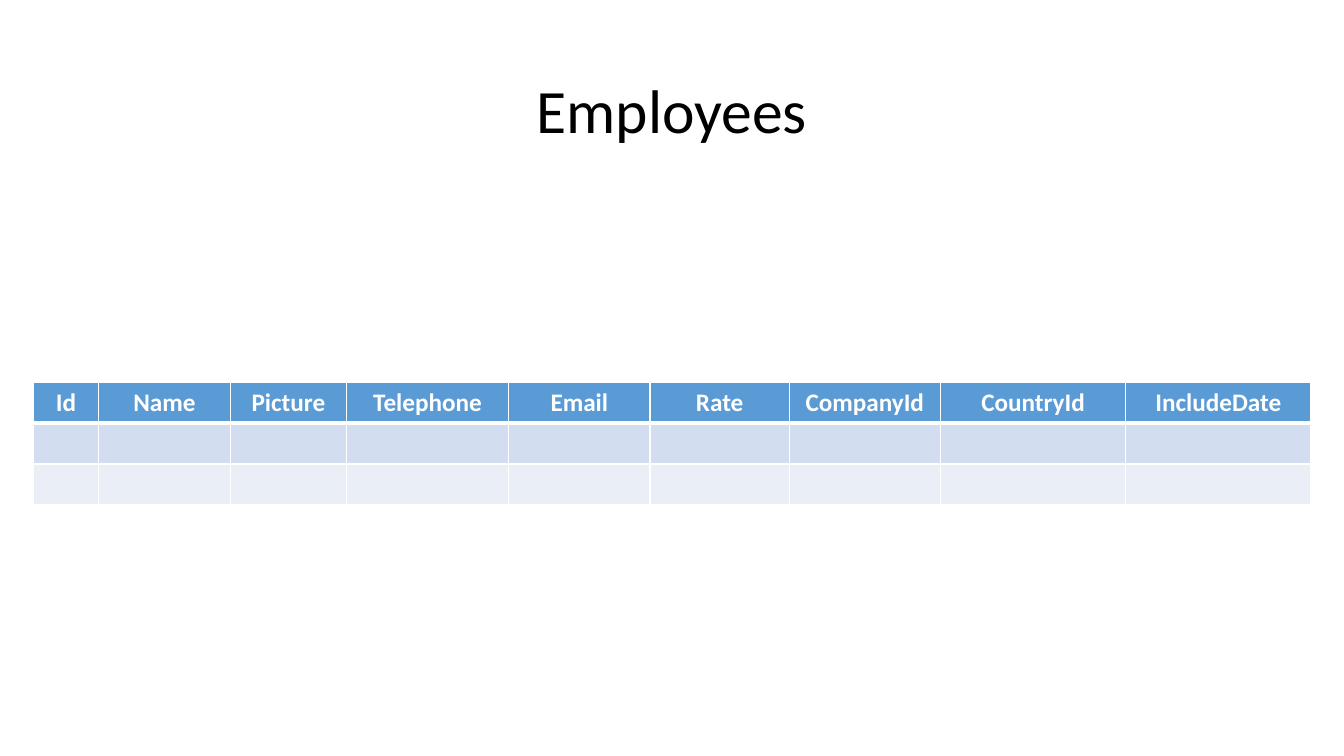
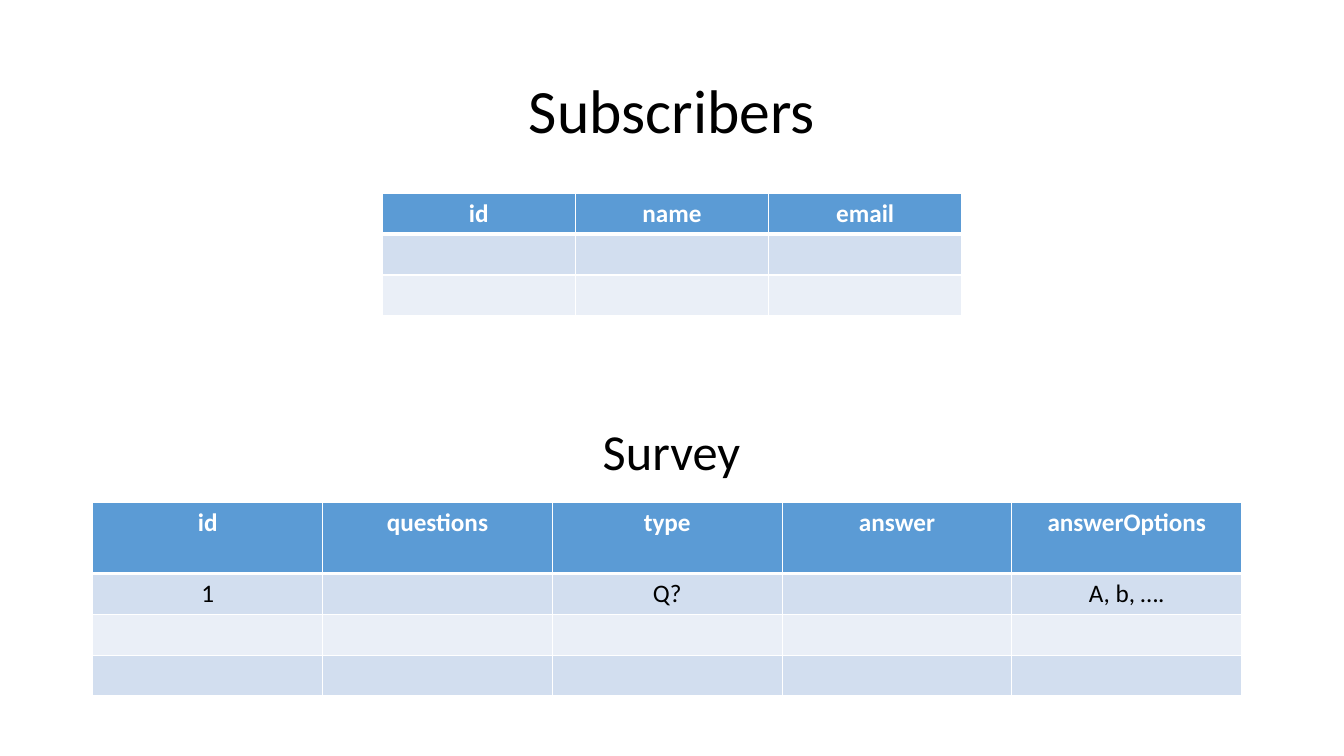
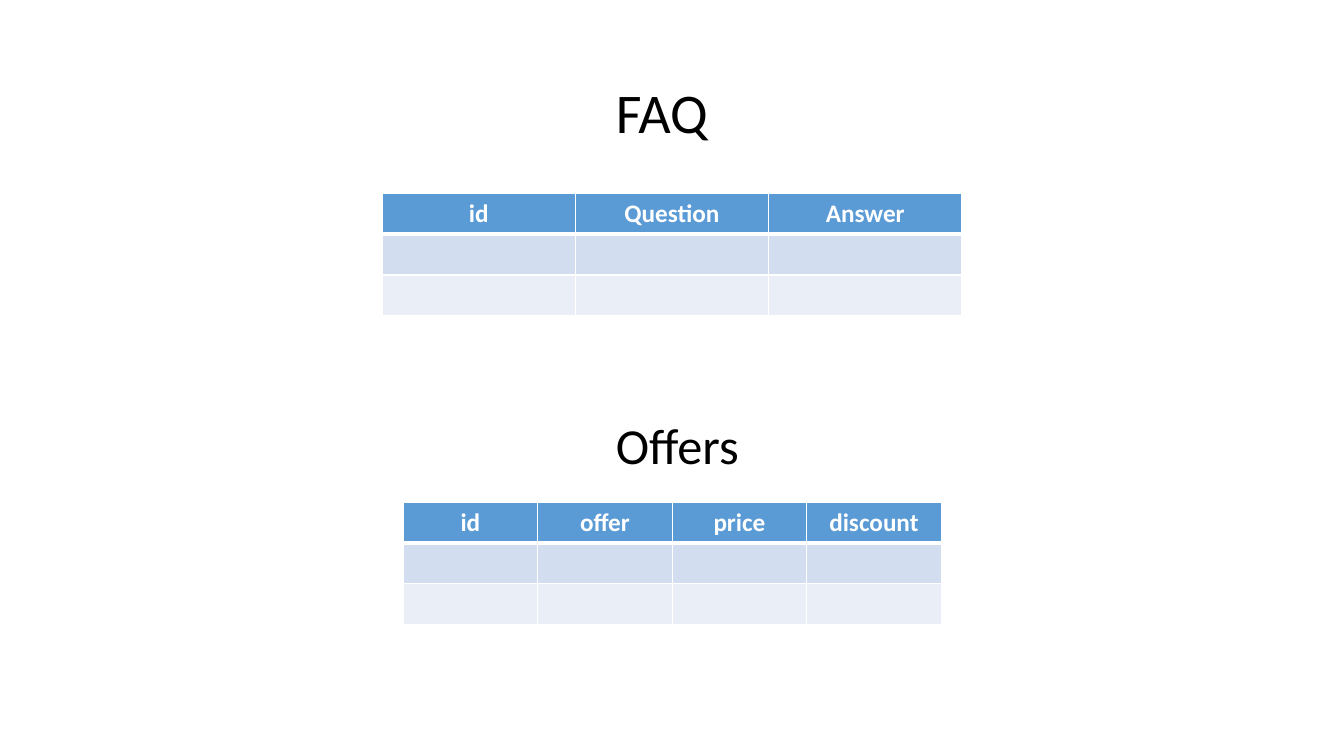
import dataclasses

import lxml.etree
import pptx
import pptx.dml.color
import pptx.enum.text
import pptx.oxml.ns
import pptx.util

Cm = pptx.util.Cm
Pt = pptx.util.Pt
ALIGN = pptx.enum.text.PP_ALIGN
ANCHOR = pptx.enum.text.MSO_ANCHOR


@dataclasses.dataclass(frozen=True)
class Theme:
    font: str = "Calibri"
    ink: str = "000000"
    paper: str = "FFFFFF"
    header: str = "5B9BD5"
    bands: tuple = ("D2DEEF", "EAEFF7")
    title_size: int = 44
    heading_size: int = 40
    subheading_size: int = 36
    cell_size: int = 18
    rule: int = 1
    header_rule: int = 3
    row_height: float = 1.03


class Deck:
    def __init__(self, theme):
        self.theme = theme
        self.presentation = pptx.Presentation()
        self.presentation.slide_width = Cm(33.87)
        self.presentation.slide_height = Cm(19.05)
        self.slide = None

    def new_slide(self):
        blank = self.presentation.slide_layouts[6]
        self.slide = self.presentation.slides.add_slide(blank)

    def style(self, paragraph, size, color, bold=False):
        for run in paragraph.runs:
            run.font.name = self.theme.font
            run.font.size = Pt(size)
            run.font.bold = bold
            run.font.color.rgb = pptx.dml.color.RGBColor.from_string(color)

    def heading(self, text, left, top, width, height, size, wrap=True):
        box = self.slide.shapes.add_textbox(Cm(left), Cm(top), Cm(width), Cm(height))
        frame = box.text_frame
        frame.word_wrap = wrap
        frame.text = text
        self.style(frame.paragraphs[0], size, self.theme.ink)
        return frame

    def title(self, text):
        frame = self.heading(text, 2.33, 1.02, 29.21, 3.68, self.theme.title_size)
        frame.vertical_anchor = ANCHOR.MIDDLE
        frame.paragraphs[0].alignment = ALIGN.CENTER
        frame.paragraphs[0].line_spacing = 0.9

    def borders(self, cell, top, bottom):
        properties = cell._tc.get_or_add_tcPr()
        qn = pptx.oxml.ns.qn
        widths = {"L": self.theme.rule, "R": self.theme.rule, "T": top, "B": bottom}
        for side, width in widths.items():
            line = lxml.etree.SubElement(properties, qn(f"a:ln{side}"), w=str(Pt(width)))
            fill = lxml.etree.SubElement(line, qn("a:solidFill"))
            lxml.etree.SubElement(fill, qn("a:srgbClr"), val=self.theme.paper)

    def cell(self, cell, text, row):
        theme = self.theme
        is_header = row == 0
        self.borders(
            cell,
            top=theme.header_rule if row == 1 else theme.rule,
            bottom=theme.header_rule if is_header else theme.rule,
        )
        band = theme.header if is_header else theme.bands[(row - 1) % 2]
        cell.fill.solid()
        cell.fill.fore_color.rgb = pptx.dml.color.RGBColor.from_string(band)
        if text:
            cell.text_frame.text = text
            paragraph = cell.text_frame.paragraphs[0]
            paragraph.alignment = ALIGN.CENTER
            color = theme.paper if is_header else theme.ink
            self.style(paragraph, theme.cell_size, color, is_header)

    def table(self, fields, left, top, widths, records=((), ()), header_height=None):
        heights = [header_height or self.theme.row_height]
        heights += [self.theme.row_height] * len(records)
        table = self.slide.shapes.add_table(
            len(heights), len(fields), Cm(left), Cm(top), Cm(sum(widths)), Cm(sum(heights))
        ).table
        for column, width in zip(table.columns, widths):
            column.width = Cm(width)
        for row, height in zip(table.rows, heights):
            row.height = Cm(height)
        for row, values in enumerate([fields, *records]):
            for column in range(len(fields)):
                text = values[column] if values else ""
                self.cell(table.cell(row, column), text, row)


theme = Theme()
deck = Deck(theme)
UPPER = dict(left=9.63, top=4.87, widths=[4.87] * 3)
LOWER_TOP = 12.65

deck.new_slide()
deck.title("Employees")
deck.table(
    ["Id", "Name", "Picture", "Telephone", "Email", "Rate",
     "CompanyId", "CountryId", "IncludeDate"],
    0.85, 9.63, [1.63, 3.33, 2.92, 4.09, 3.56, 3.51, 3.81, 4.67, 4.67],
)

deck.new_slide()
deck.title("Subscribers")
deck.table(["id", "name", "email"], **UPPER)
deck.table(
    ["id", "questions", "type", "answer", "answerOptions"],
    2.34, LOWER_TOP, [5.79] * 5,
    records=[("1", "", "Q?", "", "A, b, …."), (), ()],
    header_height=1.8,
)
deck.heading("Survey", 14.94, 10.46, 4.01, 1.8, theme.subheading_size, wrap=False)

deck.new_slide()
deck.table(["id", "Question", "Answer"], **UPPER)
deck.heading("FAQ", 15.27, 1.83, 2.84, 1.96, theme.heading_size)
deck.table(["id", "offer", "price", "discount"], 10.16, LOWER_TOP, [3.39] * 4)
deck.heading("Offers", 15.27, 10.31, 3.84, 1.8, theme.subheading_size)

deck.presentation.save("out.pptx")
